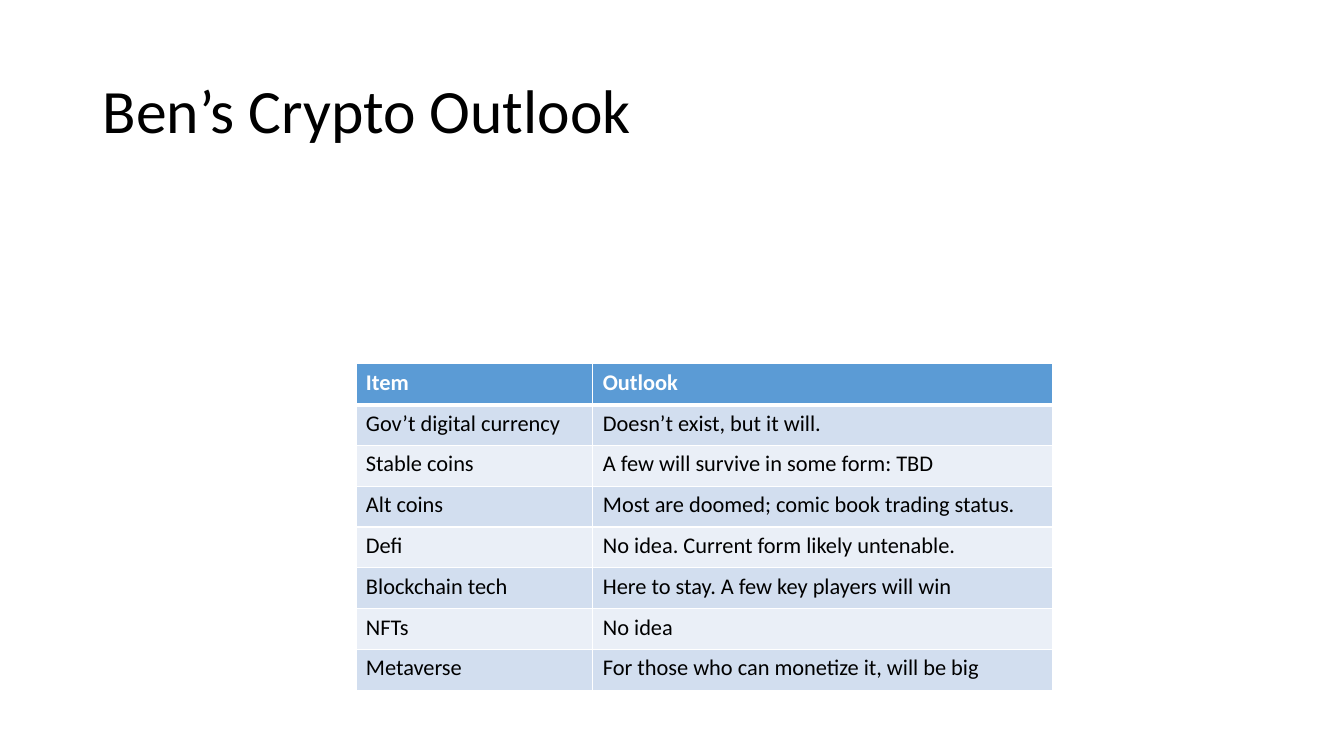
from dataclasses import dataclass

from lxml import etree
from pptx import Presentation
from pptx.dml.color import RGBColor
from pptx.enum.text import MSO_ANCHOR
from pptx.oxml.ns import qn
from pptx.slide import Slide
from pptx.table import _Cell
from pptx.text.text import _Paragraph
from pptx.util import Inches, Pt

MIDDLE = MSO_ANCHOR.MIDDLE
FONT = "Calibri"
BLACK = "000000"
WHITE = "FFFFFF"
HEADER_FILL = "5B9BD5"
BAND_FILLS = ("D2DEEF", "EAEFF7")
COLUMN_WIDTHS = (2.35, 4.56)
ROW_HEIGHT = 0.405
THIN, THICK = 1, 3


@dataclass(frozen=True)
class OutlookRow:
    item: str
    outlook: str


HEADER = OutlookRow("Item", "Outlook")
ROWS = (
    OutlookRow("Gov’t digital currency", "Doesn’t exist, but it will."),
    OutlookRow("Stable coins", "A few will survive in some form: TBD"),
    OutlookRow("Alt coins", "Most are doomed; comic book trading status."),
    OutlookRow("Defi", "No idea. Current form likely untenable."),
    OutlookRow("Blockchain tech", "Here to stay. A few key players will win"),
    OutlookRow("NFTs", "No idea"),
    OutlookRow("Metaverse", "For those who can monetize it, will be big"),
)


def color(value: str) -> RGBColor:
    return RGBColor.from_string(value)


def format_paragraph(paragraph: _Paragraph, size: int, font_color: str, bold: bool = False) -> None:
    for span in paragraph.runs:
        span.font.name = FONT
        span.font.size = Pt(size)
        span.font.bold = bold
        span.font.color.rgb = color(font_color)


def add_title(page: Slide, text: str) -> None:
    box = page.shapes.add_textbox(Inches(0.92), Inches(0.4), Inches(11.5), Inches(1.45))
    frame = box.text_frame
    frame.word_wrap = True
    frame.vertical_anchor = MIDDLE
    frame.text = text
    paragraph = frame.paragraphs[0]
    paragraph.line_spacing = 0.9
    format_paragraph(paragraph, 44, BLACK)


def set_borders(cell: _Cell, top: int, bottom: int) -> None:
    properties = cell._tc.get_or_add_tcPr()
    for side, width in (("L", THIN), ("R", THIN), ("T", top), ("B", bottom)):
        line = etree.SubElement(properties, qn(f"a:ln{side}"), w=str(Pt(width)))
        fill = etree.SubElement(line, qn("a:solidFill"))
        etree.SubElement(fill, qn("a:srgbClr"), val=WHITE)


def fill_cell(cell: _Cell, text: str, row_index: int) -> None:
    is_header = row_index == 0
    set_borders(cell, THICK if row_index == 1 else THIN, THICK if is_header else THIN)
    cell.fill.solid()
    cell.fill.fore_color.rgb = color(HEADER_FILL if is_header else BAND_FILLS[(row_index - 1) % 2])
    cell.text_frame.text = text
    format_paragraph(cell.text_frame.paragraphs[0], 16, WHITE if is_header else BLACK, is_header)


def add_outlook_table(page: Slide) -> None:
    rows = (HEADER, *ROWS)
    table = page.shapes.add_table(
        len(rows), len(COLUMN_WIDTHS), Inches(3.53), Inches(3.61),
        Inches(sum(COLUMN_WIDTHS)), Inches(ROW_HEIGHT * len(rows)),
    ).table
    for column, width in zip(table.columns, COLUMN_WIDTHS):
        column.width = Inches(width)
    for row_index, row in enumerate(rows):
        table.rows[row_index].height = Inches(ROW_HEIGHT)
        for column_index, text in enumerate((row.item, row.outlook)):
            fill_cell(table.cell(row_index, column_index), text, row_index)


def main() -> None:
    deck = Presentation()
    deck.slide_width = Inches(13.33)
    deck.slide_height = Inches(7.5)
    page = deck.slides.add_slide(deck.slide_layouts[6])
    add_title(page, "Ben’s Crypto Outlook")
    add_outlook_table(page)
    deck.save("out.pptx")


if __name__ == "__main__":
    main()
